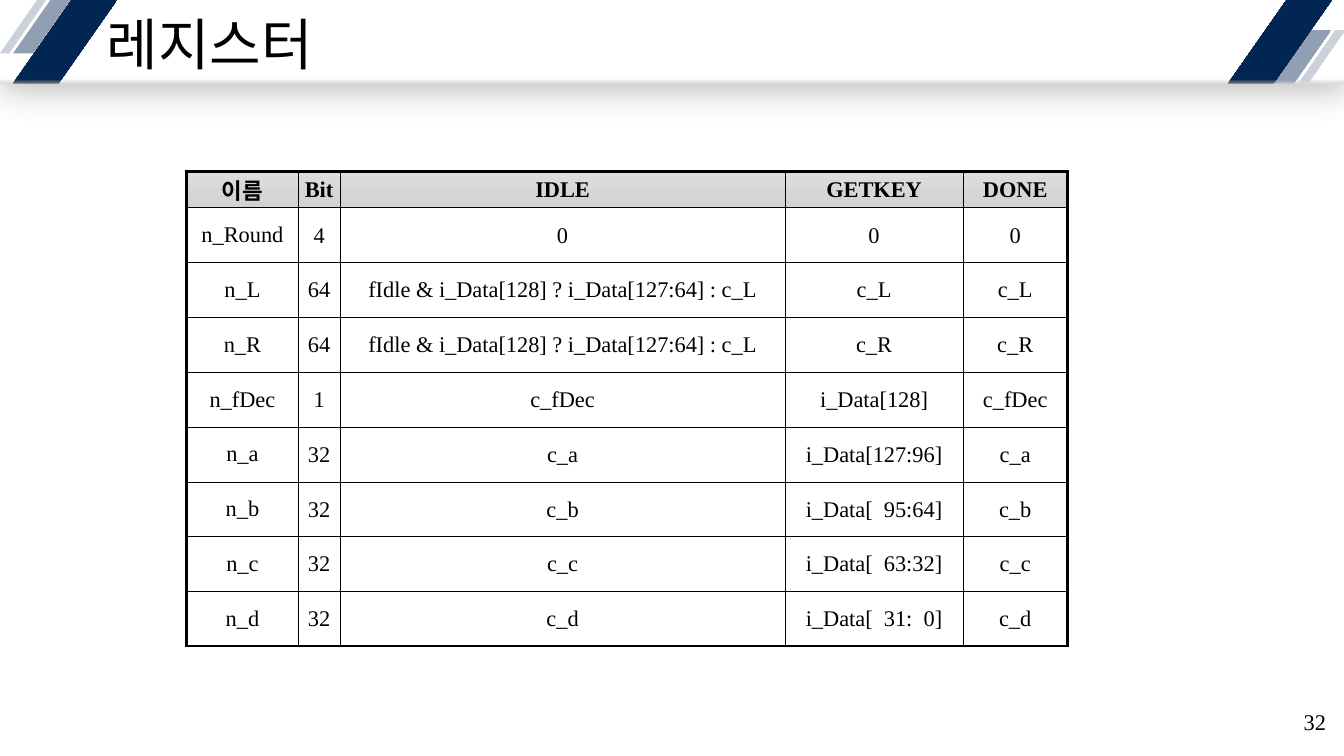
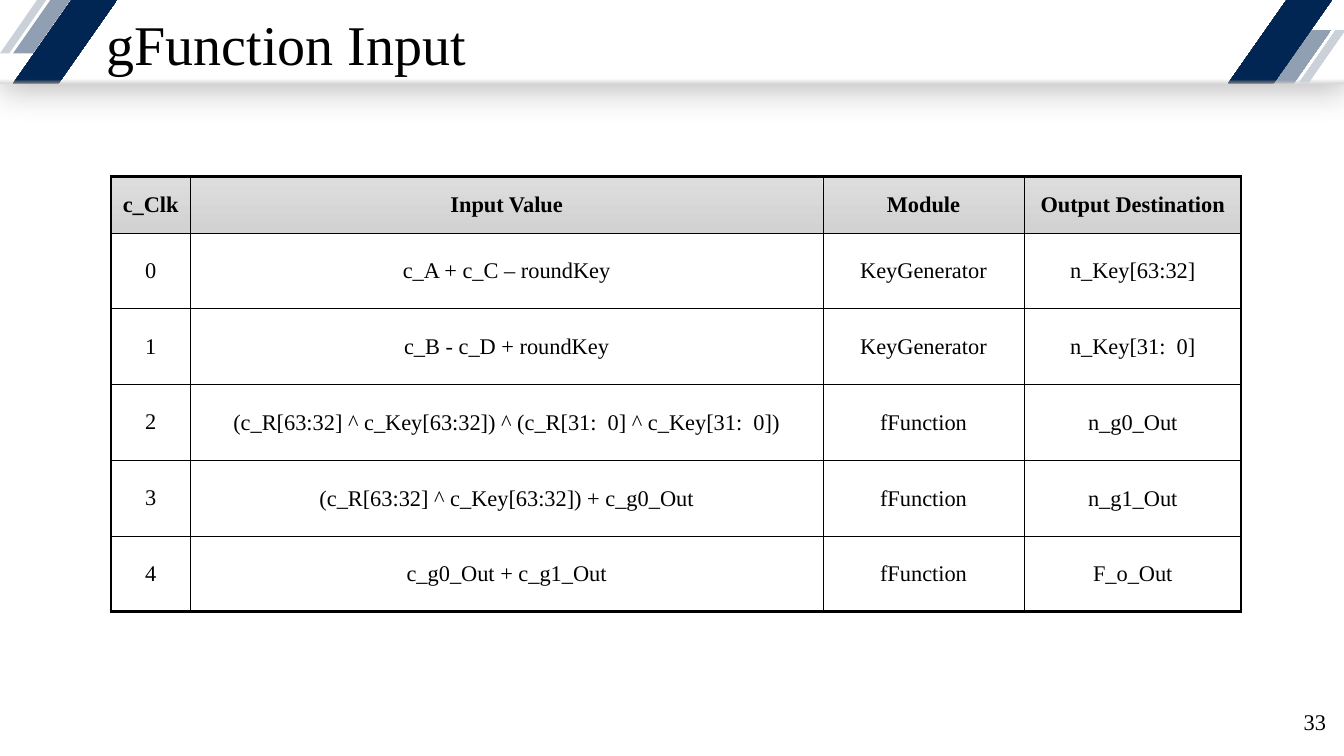
from lxml.etree import SubElement
from pptx import Presentation
from pptx.dml.color import RGBColor
from pptx.enum.shapes import MSO_SHAPE
from pptx.enum.text import MSO_ANCHOR, PP_ALIGN
from pptx.oxml.ns import qn
from pptx.util import Inches, Pt

FONT = "Times New Roman"
BLACK, WHITE = "000000", "FFFFFF"
NAVY, STEEL, MIST = "022653", "909FB1", "CAD1D9"
THICK, THIN = 2.25, 0.25

STRIPES = [
    (0.13, 0, 0.57, 0.53, 0.7, STEEL, None),
    (0.13, 0, 1.03, 0.83, 0.7, NAVY, ("808080", 0.05)),
    (0, 0, 0.46, 0.53, 0.8, MIST, None),
    (12.63, 0.3, 0.57, 0.53, 0.7, STEEL, ("BFBFBF", 0.07)),
    (12.18, 0, 1.03, 0.83, 0.7, NAVY, ("808080", 0.05)),
    (12.88, 0.3, 0.46, 0.53, 0.8, MIST, ("D9D9D9", 0.06)),
]

REGISTERS = [
    ["이름", "Bit", "IDLE", "GETKEY", "DONE"],
    ["n_Round", "4", "0", "0", "0"],
    ["n_L", "64", "fIdle & i_Data[128] ? i_Data[127:64] : c_L", "c_L", "c_L"],
    ["n_R", "64", "fIdle & i_Data[128] ? i_Data[127:64] : c_L", "c_R", "c_R"],
    ["n_fDec", "1", "c_fDec", "i_Data[128]", "c_fDec"],
    ["n_a", "32", "c_a", "i_Data[127:96]", "c_a"],
    ["n_b", "32", "c_b", "i_Data[  95:64]", "c_b"],
    ["n_c", "32", "c_c", "i_Data[  63:32]", "c_c"],
    ["n_d", "32", "c_d", "i_Data[  31:  0]", "c_d"],
]

INPUTS = [
    ["c_Clk", "Input Value", "Module", "Output Destination"],
    ["0", "c_A + c_C – roundKey", "KeyGenerator", "n_Key[63:32]"],
    ["1", "c_B - c_D + roundKey", "KeyGenerator", "n_Key[31:  0]"],
    ["2", "(c_R[63:32] ^ c_Key[63:32]) ^ (c_R[31:  0] ^ c_Key[31:  0])",
     "fFunction", "n_g0_Out"],
    ["3", "(c_R[63:32] ^ c_Key[63:32]) + c_g0_Out", "fFunction", "n_g1_Out"],
    ["4", "c_g0_Out + c_g1_Out", "fFunction", "F_o_Out"],
]


def colour(value):
    """Turn a hex string into a colour."""
    return RGBColor.from_string(value)


class Slides:
    """Hold the deck, its style and the current page."""

    def __init__(self):
        """Start an empty wide deck."""
        self.deck = Presentation()
        self.deck.slide_width = Inches(13.33)
        self.deck.slide_height = Inches(7.5)
        self.page = None

    def add_page(self, title, number):
        """Start a page with its band, stripes, title and number."""
        self.page = self.deck.slides.add_slide(self.deck.slide_layouts[6])
        band = self.shape(MSO_SHAPE.RECTANGLE, 0, 0, 13.33, 0.83, WHITE, ("D9D9D9", 0.06))
        self.cast_shadow(band)
        for left, top, width, height, slant, fill, edge in STRIPES:
            stripe = self.shape(MSO_SHAPE.PARALLELOGRAM, left, top, width, height, fill, edge)
            stripe.adjustments[0] = slant
        self.text(number, 12.63, 6.96, 0.62, 0.4, 16, PP_ALIGN.RIGHT)
        self.text(title, 0, 0, 13.33, 0.87, 40, PP_ALIGN.LEFT, (1.06, 0.12, 1.06, 0.04), 0.9)

    def gradient(self, fill, first, last, angle, end=1):
        """Fill with a blend that is complete at the given end."""
        fill.gradient()
        fill.gradient_angle = angle
        for stop, value, position in zip(fill.gradient_stops, (first, last), (0, end)):
            stop.color.rgb = colour(value)
            stop.position = position

    def solid(self, fill, value):
        """Fill with one colour."""
        fill.solid()
        fill.fore_color.rgb = colour(value)

    def shape(self, kind, left, top, width, height, fill, edge=None):
        """Add a borderless shape, optionally shaded along its lower edge."""
        shape = self.page.shapes.add_shape(
            kind, Inches(left), Inches(top), Inches(width), Inches(height))
        shape.shadow.inherit = False
        shape.line.fill.background()
        if edge:
            self.gradient(shape.fill, edge[0], fill, 90, edge[1])
        else:
            self.solid(shape.fill, fill)
        return shape

    def cast_shadow(self, shape):
        """Give a shape a soft grey shadow below it."""
        effects = shape.element.spPr.find(qn("a:effectLst"))
        shadow = SubElement(effects, qn("a:outerShdw"), blurRad=str(Pt(24)),
                            dist=str(Pt(3)), dir=str(80 * 60000), rotWithShape="0")
        tint = SubElement(shadow, qn("a:srgbClr"), val="767171")
        SubElement(tint, qn("a:alpha"), val="50000")

    def add_span(self, para, text, size, align, bold=False):
        """Add one run to a paragraph."""
        para.alignment = align
        span = para.add_run()
        span.text = text
        span.font.name = FONT
        span.font.size = Pt(size)
        span.font.bold = bold
        span.font.color.rgb = colour(BLACK)

    def text(self, text, left, top, width, height, size, align,
             insets=(0.1, 0.05, 0.1, 0.05), spacing=None):
        """Add a vertically centred text box."""
        box = self.page.shapes.add_textbox(
            Inches(left), Inches(top), Inches(width), Inches(height))
        frame = box.text_frame
        frame.word_wrap = True
        frame.vertical_anchor = MSO_ANCHOR.MIDDLE
        (frame.margin_left, frame.margin_top,
         frame.margin_right, frame.margin_bottom) = map(Inches, insets)
        para = frame.paragraphs[0]
        para.line_spacing = spacing
        self.add_span(para, text, size, align)

    def border(self, cell, side, weight):
        """Draw one black border of a cell."""
        line = SubElement(cell._tc.get_or_add_tcPr(), qn(f"a:ln{side}"), w=str(Pt(weight)))
        fill = SubElement(line, qn("a:solidFill"))
        SubElement(fill, qn("a:srgbClr"), val=BLACK)

    def table(self, rows, left, top, widths, height, header):
        """Add a table with a shaded header and a heavy outer frame."""
        last_row, last_column = len(rows) - 1, len(widths) - 1
        table = self.page.shapes.add_table(
            len(rows), len(widths), Inches(left), Inches(top),
            Inches(sum(widths)), Inches(height)).table
        table.first_row = table.horz_banding = False
        for column, width in zip(table.columns, widths):
            column.width = Inches(width)
        for index, row in enumerate(table.rows):
            row.height = Inches((height - header) / last_row if index else header)
        for r, values in enumerate(rows):
            for c, value in enumerate(values):
                cell = table.cell(r, c)
                outer = {"L": c == 0, "R": c == last_column, "T": r == 0, "B": r == last_row}
                for side, is_outer in outer.items():
                    self.border(cell, side, THICK if is_outer else THIN)
                if r == 0:
                    self.gradient(cell.fill, "DDDDDD", "D2D2D2", 270)
                else:
                    self.solid(cell.fill, WHITE)
                cell.vertical_anchor = MSO_ANCHOR.MIDDLE
                cell.margin_left = cell.margin_right = cell.margin_top = Inches(0.01 if c else 0)
                cell.margin_bottom = 0
                self.add_span(cell.text_frame.paragraphs[0], value, 16, PP_ALIGN.CENTER, r == 0)


def main():
    """Build both pages and save the deck."""
    slides = Slides()
    slides.add_page("레지스터", "32")
    slides.table(REGISTERS, 1.85, 1.7, [1.11, 0.41, 4.42, 1.76, 1.04], 4.71, 0.36)
    slides.add_page("gFunction Input", "33")
    slides.table(INPUTS, 1.1, 1.75, [0.79, 6.27, 2, 2.15], 4.32, 0.56)
    slides.deck.save("out.pptx")


if __name__ == "__main__":
    main()
